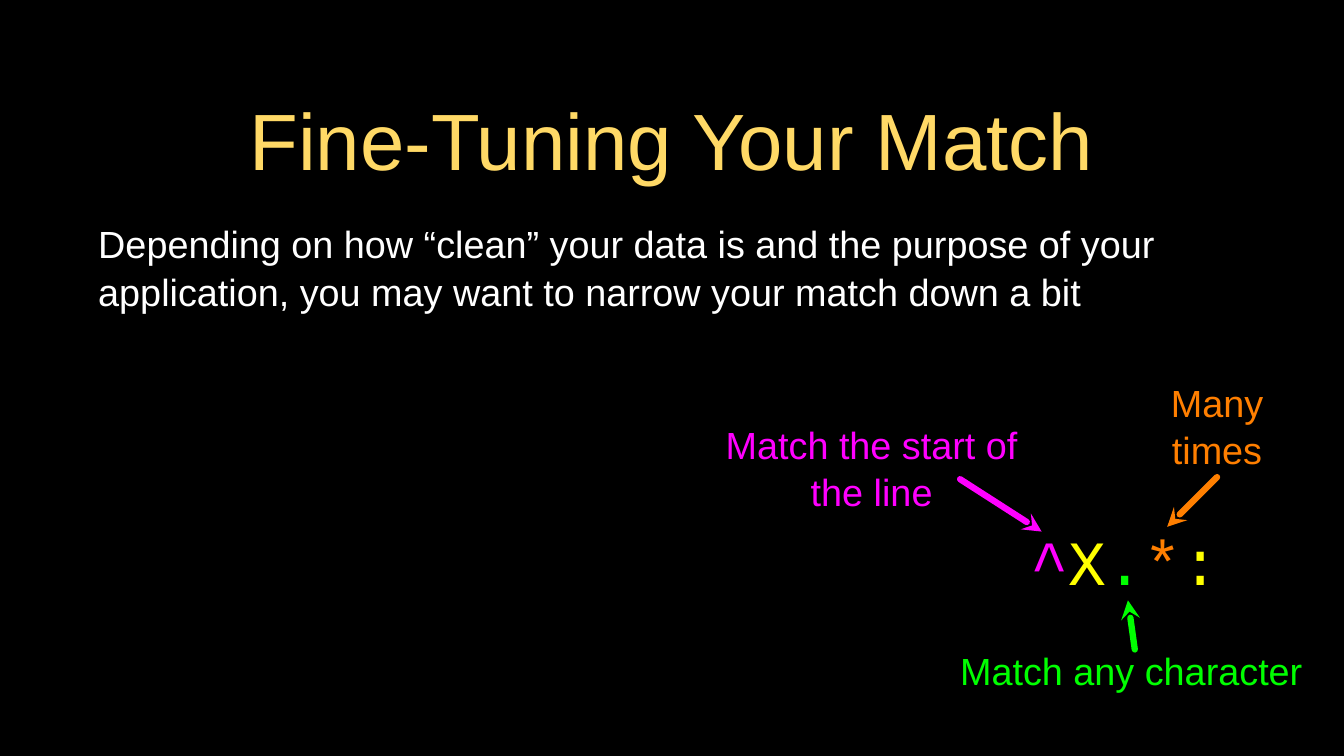
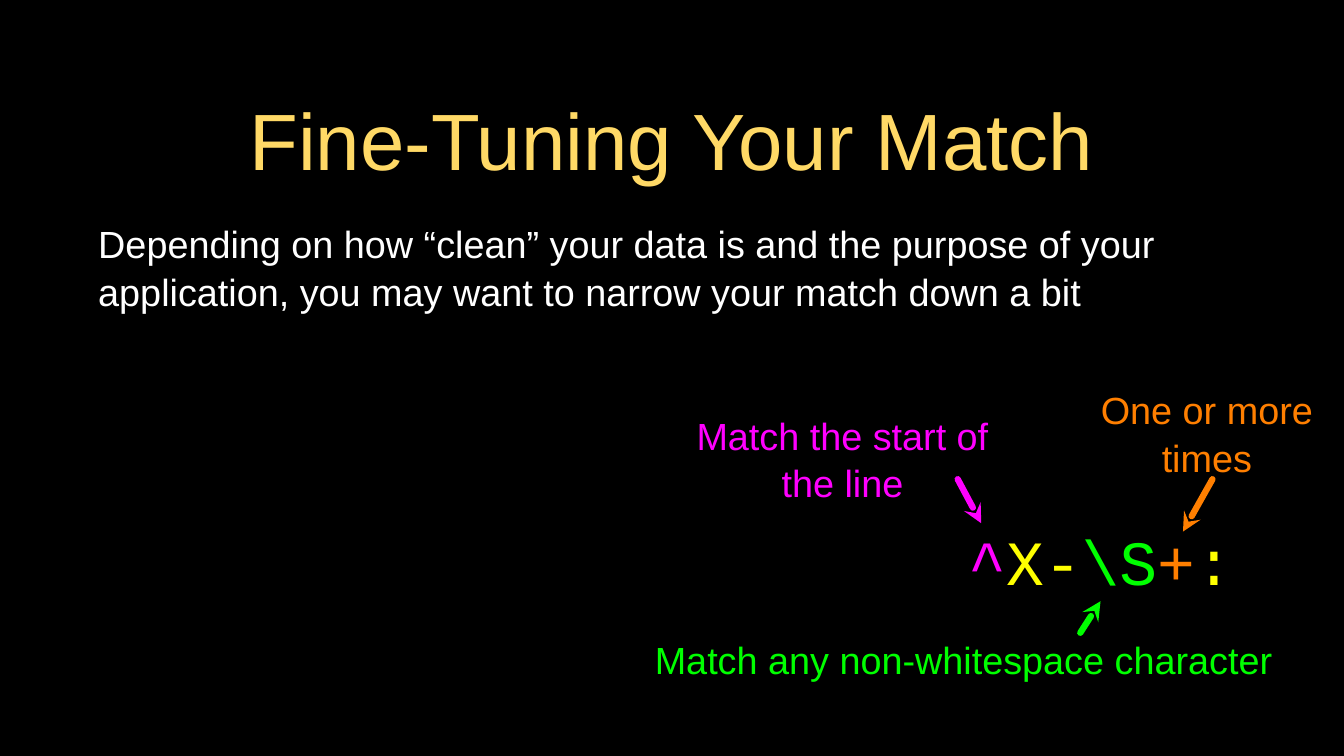
"""Builds two slides that explain the parts of a regular expression."""
from dataclasses import dataclass

from lxml.etree import SubElement
from pptx import Presentation
from pptx.dml.color import RGBColor as Rgb
from pptx.enum.shapes import MSO_CONNECTOR as Connector
from pptx.enum.text import MSO_ANCHOR as Anchor, MSO_AUTO_SIZE as AutoSize, PP_ALIGN as Align
from pptx.oxml.ns import qn
from pptx.util import Cm, Pt


@dataclass(frozen=True)
class Theme:
    background: Rgb = Rgb(0x00, 0x00, 0x00)
    gold: Rgb = Rgb(0xFF, 0xD9, 0x66)
    white: Rgb = Rgb(0xFF, 0xFF, 0xFF)
    magenta: Rgb = Rgb(0xFF, 0x00, 0xFF)
    yellow: Rgb = Rgb(0xFF, 0xFF, 0x00)
    green: Rgb = Rgb(0x00, 0xFF, 0x00)
    orange: Rgb = Rgb(0xFF, 0x7F, 0x00)
    sans: str = "Arial"
    mono: str = "Courier New"
    title_size: Pt = Pt(76)
    text_size: Pt = Pt(36)
    pattern_size: Pt = Pt(60)
    arrow_width: Pt = Pt(6)
    line_spacing: float = 1.05


theme = Theme()
TITLE = "Fine-Tuning Your Match"
INTRO = ("Depending on how “clean” your data is and the purpose of your application, "
         "you may want to narrow your match down a bit")

SLIDES = [
    {
        "intro_height": 4.19,
        "pattern_area": (33.53, 17.48, 8.53, 2.72),
        "pattern": [("^", theme.magenta), ("X", theme.yellow), (".", theme.green),
                    ("*", theme.orange), (":", theme.yellow)],
        "callouts": [
            ("Match the start of the line", theme.magenta, (24.26, 13.89, 10.06, 3.58),
             (35, 17.86), (32.26, 16.1), None),
            ("Match any character", theme.green, (31.32, 21.62, 13.39, 1.73),
             (37.9, 20.17), (38.13, 21.82), None),
            ("Many times", theme.orange, (37.82, 12.52, 6.15, 3.51),
             (39.22, 17.7), (40.89, 16.03), "callout"),
        ],
    },
    {
        "intro_height": 4.34,
        "pattern_area": (32.46, 17.48, 9.04, 2.72),
        "pattern": [("^", theme.magenta), ("X-", theme.yellow), ("\\S", theme.green),
                    ("+", theme.orange), (":", theme.yellow)],
        "callouts": [
            ("Match the start of the line", theme.magenta, (22.91, 13.72, 10.8, 3.33),
             (32.97, 17.58), (32.18, 16.1), None),
            ("Match any non-whitespace character", theme.green, (20.9, 21.26, 22.96, 1.73),
             (37.01, 20.17), (36.3, 21.26), "pattern"),
            ("One or more times", theme.orange, (36.3, 12.93, 8.51, 3.18),
             (39.75, 17.86), (40.74, 16.1), None),
        ],
    },
]


def format_box(box, area, margin, anchor, align):
    """Place a text shape and return its first paragraph."""
    box.left, box.top, box.width, box.height = (Cm(length) for length in area)
    frame = box.text_frame
    frame.word_wrap = True
    frame.auto_size = AutoSize.NONE
    frame.vertical_anchor = anchor
    frame.margin_left = frame.margin_right = frame.margin_top = frame.margin_bottom = Cm(margin)
    para = frame.paragraphs[0]
    para.alignment = align
    return para


def set_font(font, name, size, color):
    """Give a font its face, size and colour."""
    font.name, font.size = name, size
    font.color.rgb = color


deck = Presentation()
deck.slide_width, deck.slide_height = Cm(45.16), Cm(25.4)
background = deck.slide_master.background.fill
background.solid()
background.fore_color.rgb = theme.background

for content in SLIDES:
    page = deck.slides.add_slide(deck.slide_layouts[1])
    title, intro = page.placeholders

    title.text_frame.text = TITLE
    para = format_box(title, (3.2, 2.26, 38.71, 4.8), 0.1, Anchor.MIDDLE, Align.CENTER)
    set_font(para.font, theme.sans, theme.title_size, theme.gold)

    intro.text_frame.text = INTRO
    para = format_box(intro, (3.2, 7.24, 38.71, content["intro_height"]), 0.1, Anchor.TOP, Align.LEFT)
    para.space_before = Pt(10)
    para.line_spacing = theme.line_spacing
    properties = para._p.get_or_add_pPr()
    properties.set("marL", "0")
    properties.set("indent", "0")
    SubElement(properties, qn("a:buNone"))
    set_font(para.font, theme.sans, theme.text_size, theme.white)

    pattern = page.shapes.add_textbox(0, 0, 0, 0)
    para = format_box(pattern, content["pattern_area"], 0, Anchor.MIDDLE, Align.CENTER)
    for symbol, color in content["pattern"]:
        span = para.add_run()
        span.text = symbol
        set_font(span.font, theme.mono, theme.pattern_size, color)

    for text, color, area, tip, tail, joined in content["callouts"]:
        callout = page.shapes.add_textbox(0, 0, 0, 0)
        callout.text_frame.text = text
        para = format_box(callout, area, 0, Anchor.MIDDLE, Align.CENTER)
        para.line_spacing = theme.line_spacing
        set_font(para.font, theme.sans, theme.text_size, color)

        ends = (Cm(length) for length in tip + tail)
        arrow = page.shapes.add_connector(Connector.STRAIGHT, *ends)
        if joined == "pattern":
            arrow.begin_connect(pattern, 2)
        elif joined == "callout":
            arrow.end_connect(callout, 2)
        arrow.line.width = theme.arrow_width
        arrow.line.color.rgb = color
        outline = arrow.line._get_or_add_ln()
        outline.set("cap", "rnd")
        SubElement(outline, qn("a:round"))
        SubElement(outline, qn("a:headEnd"), type="stealth")
        SubElement(arrow._element.spPr, qn("a:effectLst"))

deck.save("out.pptx")
